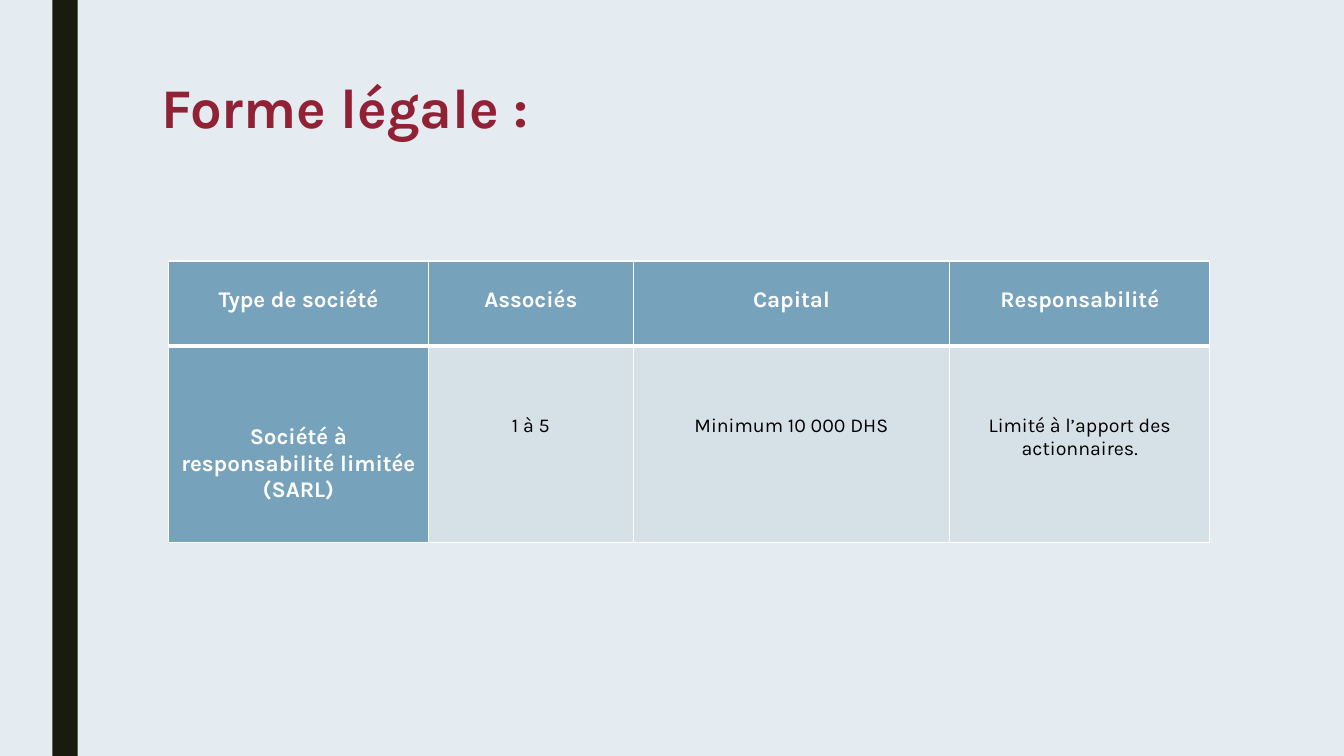
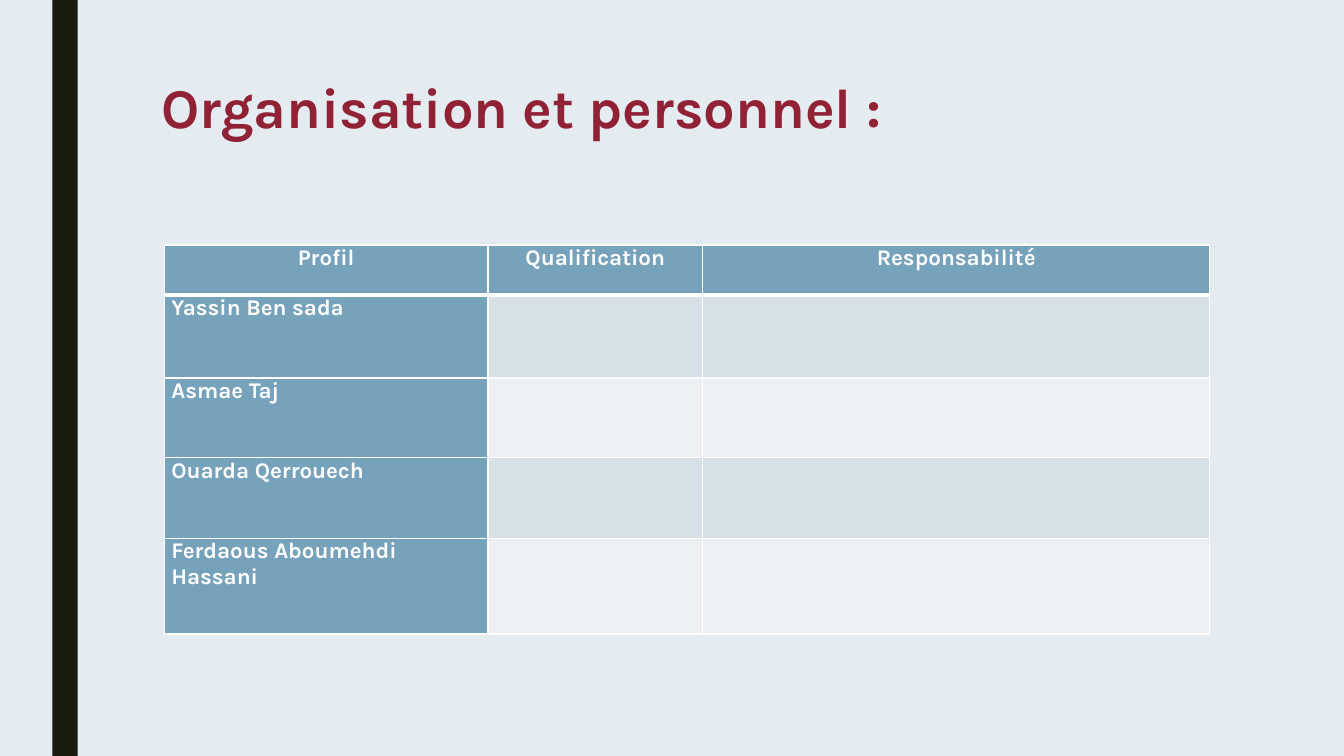
from lxml.etree import SubElement
from pptx import Presentation
from pptx.dml.color import RGBColor
from pptx.enum.shapes import MSO_SHAPE
from pptx.enum.text import MSO_ANCHOR, MSO_AUTO_SIZE, PP_ALIGN
from pptx.oxml.ns import qn
from pptx.util import Inches, Pt

FONT = "Karla"
BACKGROUND, BAND, TITLE = "E4ECF1", "191B0E", "912236"
HEADING, STRIPES = "77A2BB", ("D6E0E7", "ECF0F3")
WHITE, BLACK = "FFFFFF", "000000"
RIGHT_EDGE = 12
HEADING_SIZE, BODY_SIZE = 16, 14
LINE_HEIGHT = 1.17 / 72  # inches per point of text size


def paint(fill, colour):
    fill.solid()
    fill.fore_color.rgb = RGBColor.from_string(colour)


def style(para, size, colour, bold, align):
    para.alignment = align
    font = para.font
    font.name, font.size, font.bold = FONT, Pt(size), bold
    font.color.rgb = RGBColor.from_string(colour)


def set_up_master(deck, layout):
    """Give all slides their background, side band and title frame."""
    master = deck.slide_master
    paint(master.background.fill, BACKGROUND)
    title = layout.shapes.title if hasattr(layout.shapes, "title") else layout.placeholders[0]
    title.left, title.top = Inches(1.5), Inches(0.75)
    title.width, title.height = Inches(10.5), Inches(1)


def move_band_to_master(deck, page):
    """Draw the band on a page, then hand it to the master behind everything."""
    band = page.shapes.add_shape(
        MSO_SHAPE.RECTANGLE, Inches(0.52), 0, Inches(0.25), deck.slide_height)
    band.shadow.inherit = False
    paint(band.fill, BAND)
    band.line.fill.background()
    deck.slide_master.shapes.element.insert(2, band.element)


def add_page(deck, layout, title):
    page = deck.slides.add_slide(layout)
    frame = page.shapes.title.text_frame
    frame.text = title
    frame.vertical_anchor = MSO_ANCHOR.TOP
    frame.auto_size = MSO_AUTO_SIZE.NONE
    para = frame.paragraphs[0]
    para.line_spacing = 0.89
    style(para, 40, TITLE, True, PP_ALIGN.LEFT)
    return page


def add_borders(cell, top, bottom):
    """Add white borders; call before the fill, which must follow them."""
    properties = cell._tc.get_or_add_tcPr()
    for side, width in (("L", 1), ("R", 1), ("T", top), ("B", bottom)):
        line = SubElement(properties, qn(f"a:ln{side}"), w=str(Pt(width)))
        fill = SubElement(line, qn("a:solidFill"))
        SubElement(fill, qn("a:srgbClr"), val=WHITE)


def fill_cell(cell, text, row, column, label_align, blank_lines):
    is_heading = row == 0 or column == 0
    size = HEADING_SIZE if is_heading else BODY_SIZE
    add_borders(cell, top=3 if row == 1 else 1, bottom=3 if row == 0 else 1)
    paint(cell.fill, HEADING if is_heading else STRIPES[(row - 1) % 2])
    cell.margin_left = cell.margin_right = Inches(0.07)
    cell.margin_top = Inches(blank_lines * size * LINE_HEIGHT)
    cell.margin_bottom = 0
    cell.text = text
    align = label_align if row and column == 0 else PP_ALIGN.CENTER
    style(cell.text_frame.paragraphs[0], size, WHITE if is_heading else BLACK,
          is_heading, align)


def add_grid(page, top, widths, heights, rows, label_align, blank_lines=(0, 0)):
    """Add a table ending at the right edge; blank_lines are for head and body."""
    width = sum(widths)
    table = page.shapes.add_table(
        len(rows), len(widths), Inches(RIGHT_EDGE - width), Inches(top),
        Inches(width), Inches(sum(heights))).table
    table.first_row = table.horz_banding = False
    for column, column_width in zip(table.columns, widths):
        column.width = Inches(column_width)
    for row, height in zip(table.rows, heights):
        row.height = Inches(height)
    for r, texts in enumerate(rows):
        for c, text in enumerate(texts):
            fill_cell(table.cell(r, c), text, r, c, label_align, blank_lines[min(r, 1)])


def main():
    deck = Presentation()
    deck.slide_width, deck.slide_height = Inches(13.33), Inches(7.5)
    layout = deck.slide_layouts.get_by_name("Title Only")
    set_up_master(deck, layout)

    legal = add_page(deck, layout, "Forme légale :")
    move_band_to_master(deck, legal)
    add_grid(legal, 2.59, (2.58, 2.03, 3.14, 2.58), (0.84, 1.95), (
        ("Type de société", "Associés", "Capital", "Responsabilité"),
        ("Société à responsabilité limitée (SARL)", "1 à 5",
         "Minimum 10 000 DHS", "Limité à l’apport des actionnaires."),
    ), PP_ALIGN.CENTER, blank_lines=(1, 3))

    staff = add_page(deck, layout, "Organisation et personnel :")
    names = ("Yassin Ben sada", "Asmae Taj", "Ouarda Qerrouech",
             "Ferdaous Aboumehdi Hassani")
    add_grid(staff, 2.43, (3.21, 2.13, 5.03), (0.5, 0.82, 0.79, 0.8, 0.95), (
        ("Profil", "Qualification", "Responsabilité"),
        *((name, "", "") for name in names),
    ), PP_ALIGN.LEFT)

    deck.save("out.pptx")


if __name__ == "__main__":
    main()
